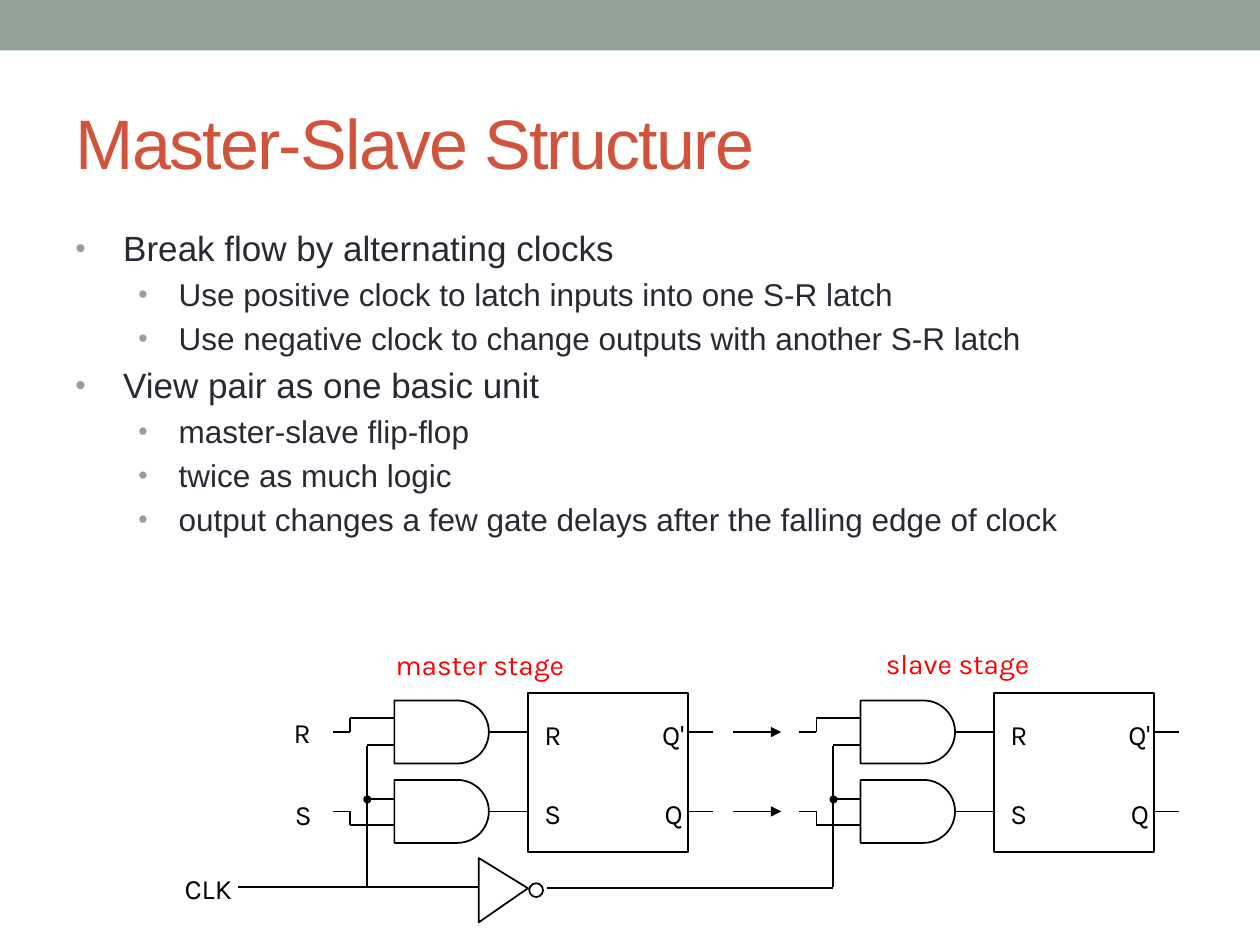
from math import cos, pi, sin

from lxml import etree
from pptx import Presentation
from pptx.dml.color import RGBColor
from pptx.enum.shapes import MSO_CONNECTOR, MSO_SHAPE
from pptx.enum.text import MSO_ANCHOR, PP_ALIGN
from pptx.oxml.ns import qn
from pptx.util import Inches, Pt

COLORS = {
    "bar": "93A299",
    "title": "D2533C",
    "body": "292934",
    "stage": "FF0000",
    "ink": "000000",
    "paper": "FFFFFF",
}


def write_text(paragraph, text, size=16, font="Karla", color="ink", align=PP_ALIGN.LEFT):
    paragraph.alignment = align
    run = paragraph.add_run()
    run.text = text
    run.font.size = Pt(size)
    run.font.name = font
    run.font.color.rgb = RGBColor.from_string(COLORS[color])
    return run


def add_wire(x1, y1, x2, y2, arrow=False):
    wire = slide.shapes.add_connector(
        MSO_CONNECTOR.STRAIGHT, Inches(x1), Inches(y1), Inches(x2), Inches(y2)
    )
    wire.line.width = Pt(1)
    wire.line.color.rgb = RGBColor.from_string(COLORS["ink"])
    properties = wire._element.spPr
    if arrow:
        line = properties.find(qn("a:ln"))
        etree.SubElement(line, qn("a:tailEnd"), type="triangle")
    etree.SubElement(properties, qn("a:effectLst"))


presentation = Presentation()
presentation.slide_width = Inches(10)
presentation.slide_height = Inches(7.5)
slide = presentation.slides.add_slide(presentation.slide_layouts[5])

bar = slide.shapes.add_shape(MSO_SHAPE.RECTANGLE, 0, 0, Inches(10), Inches(0.4))
bar.shadow.inherit = False
bar.fill.solid()
bar.fill.fore_color.rgb = RGBColor.from_string(COLORS["bar"])
bar.line.fill.background()

title = slide.shapes.title
title.left, title.top = Inches(0.5), Inches(0.58)
title.width, title.height = Inches(9), Inches(1.08)
title.text_frame.vertical_anchor = MSO_ANCHOR.MIDDLE
title_run = write_text(
    title.text_frame.paragraphs[0], "Master-Slave Structure", size=40, font="Arial", color="title"
)
title_run.font._element.set("spc", "-100")

bullets = [
    (0, "Break flow by alternating clocks"),
    (1, "Use positive clock to latch inputs into one S-R latch"),
    (1, "Use negative clock to change outputs with another S-R latch"),
    (0, "View pair as one basic unit"),
    (1, "master-slave flip-flop"),
    (1, "twice as much logic"),
    (1, "output changes a few gate delays after the falling edge of clock"),
]
bullet_styles = [(20, 0.38, 0.38), (18, 0.82, 0.32)]
body = slide.shapes.add_textbox(Inches(0.5), Inches(1.75), Inches(9), Inches(5.33))
body.text_frame.word_wrap = True
for index, (level, text) in enumerate(bullets):
    size, margin, hanging = bullet_styles[level]
    paragraph = body.text_frame.paragraphs[0] if index == 0 else body.text_frame.add_paragraph()
    paragraph.level = level
    paragraph.space_before = Pt(size * 0.2)
    write_text(paragraph, text, size=size, font="Arial", color="body")
    properties = paragraph._p.get_or_add_pPr()
    properties.set("marL", str(Inches(margin)))
    properties.set("indent", str(-Inches(hanging)))
    bullet_color = etree.SubElement(properties, qn("a:buClr"))
    etree.SubElement(bullet_color, qn("a:srgbClr"), val=COLORS["bar"])
    etree.SubElement(properties, qn("a:buSzPct"), val="85000")
    etree.SubElement(properties, qn("a:buFont"), typeface="Arial")
    etree.SubElement(properties, qn("a:buChar"), char="•")

stage_lefts = [2.64, 6.34]
row_centers = [5.81, 6.44]
outlines = []
wires = []
labels = [
    ("master stage", 3.12, 5.09, 1.97, "stage", PP_ALIGN.LEFT, 20.8),
    ("slave stage", 7.01, 5.08, 1.79, "stage", PP_ALIGN.LEFT, 20.8),
    ("R", 2.31, 5.61, 0.64, "ink", PP_ALIGN.LEFT, 21.8),
    ("S", 2.32, 6.26, 0.63, "ink", PP_ALIGN.LEFT, 21.8),
    ("CLK", 0.83, 6.85, 1.03, "ink", PP_ALIGN.RIGHT, 21.8),
]

for left in stage_lefts:
    latch = slide.shapes.add_shape(
        MSO_SHAPE.RECTANGLE, Inches(left + 1.55), Inches(5.5), Inches(1.27), Inches(1.26)
    )
    dot = slide.shapes.add_shape(
        MSO_SHAPE.OVAL, Inches(left + 0.25), Inches(6.32), Inches(0.05), Inches(0.05)
    )
    outlines += [(latch, "paper"), (dot, "ink")]
    for center, inward in zip(row_centers, [1, -1]):
        gate_left, arc_left, radius = left + 0.49, left + 0.99, 0.25
        arc = [
            (arc_left + radius * cos(step * pi / 24), center + radius * sin(step * pi / 24))
            for step in range(-12, 13)
        ]
        builder = slide.shapes.build_freeform(
            Inches(gate_left), Inches(center - radius), scale=1.0
        )
        points = arc + [(gate_left, center + radius)]
        builder.add_line_segments([(Inches(x), Inches(y)) for x, y in points], close=True)
        outlines.append((builder.convert_to_shape(), "paper"))

        data_input = center - 0.11 * inward
        clock_input = center + 0.11 * inward - (0.01 if inward > 0 else -0.01)
        wires += [
            (left, center, left + 0.14, center),
            (left + 0.14, center, left + 0.14, data_input),
            (left + 0.14, data_input, gate_left, data_input),
            (left + 0.27, clock_input, gate_left, clock_input),
            (left + 1.24, center, left + 1.55, center),
            (left + 2.82, center, left + 3.02, center),
        ]
    wires.append((left + 0.27, 5.92, left + 0.27, 7.04))
    labels += [
        ("R", left + 1.66, 5.64, 0.4, "ink", PP_ALIGN.LEFT, 20.8),
        ("S", left + 1.66, 6.27, 0.4, "ink", PP_ALIGN.LEFT, 20.8),
        ("Q'", left + 2.21, 5.64, 0.6, "ink", PP_ALIGN.RIGHT, 20.8),
        ("Q", left + 2.39, 6.27, 0.41, "ink", PP_ALIGN.RIGHT, 20.8),
    ]

builder = slide.shapes.build_freeform(Inches(3.8), Inches(6.81), scale=1.0)
builder.add_line_segments(
    [(Inches(4.19), Inches(7.05)), (Inches(3.8), Inches(7.32))], close=True
)
bubble = slide.shapes.add_shape(
    MSO_SHAPE.OVAL, Inches(4.2), Inches(7.01), Inches(0.11), Inches(0.11)
)
outlines += [(builder.convert_to_shape(), "paper"), (bubble, "paper")]
wires += [(1.89, 7.04, 3.8, 7.04), (4.34, 7.05, 6.61, 7.05)]

for shape, fill in outlines:
    shape.shadow.inherit = False
    shape.fill.solid()
    shape.fill.fore_color.rgb = RGBColor.from_string(COLORS[fill])
    shape.line.color.rgb = RGBColor.from_string(COLORS["ink"])
    shape.line.width = Pt(1)

for wire_ends in wires:
    add_wire(*wire_ends)
for center in row_centers:
    add_wire(5.82, center, 6.2, center, arrow=True)

for text, left, top, width, color, align, spacing in labels:
    label = slide.shapes.add_textbox(Inches(left), Inches(top), Inches(width), Inches(0.42))
    frame = label.text_frame
    frame.word_wrap = False
    frame.margin_left = frame.margin_right = Inches(0.02)
    frame.margin_top = frame.margin_bottom = Inches(0.03)
    frame.paragraphs[0].line_spacing = Pt(spacing)
    write_text(frame.paragraphs[0], text, color=color, align=align)

presentation.save("out.pptx")
